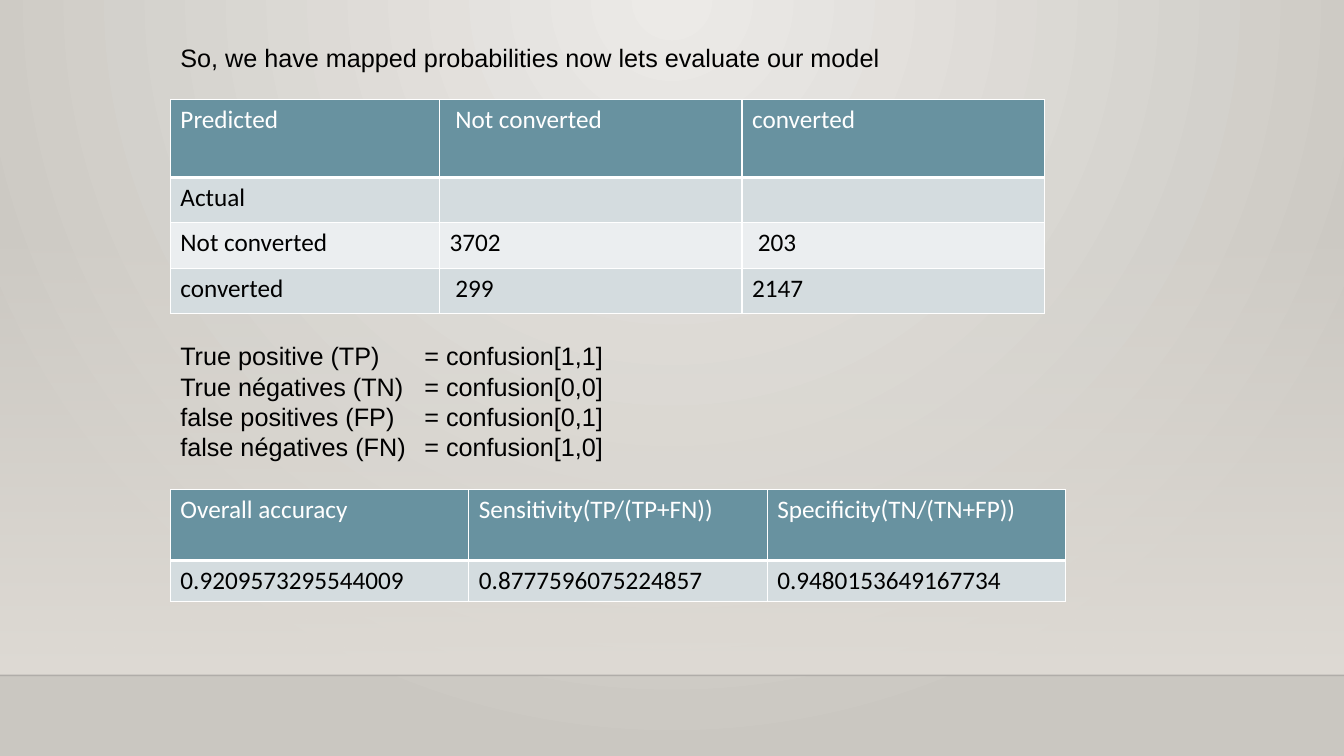
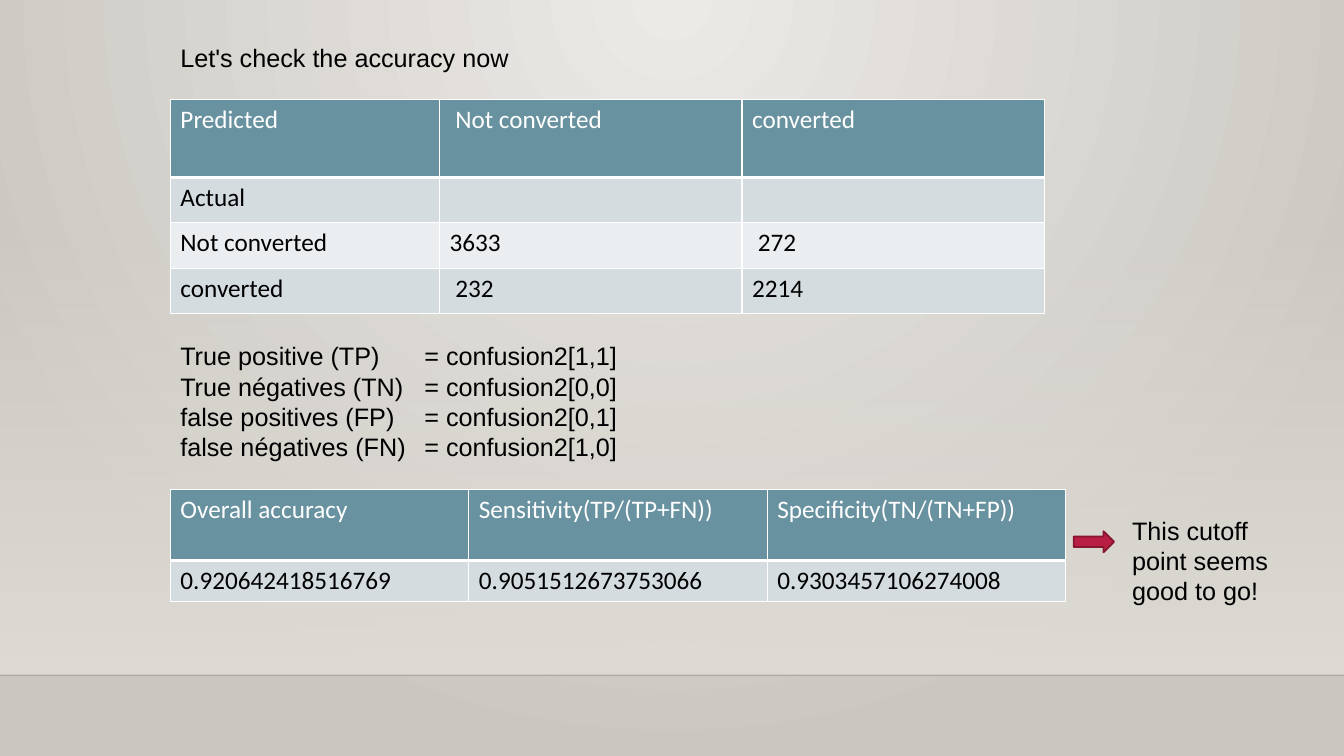
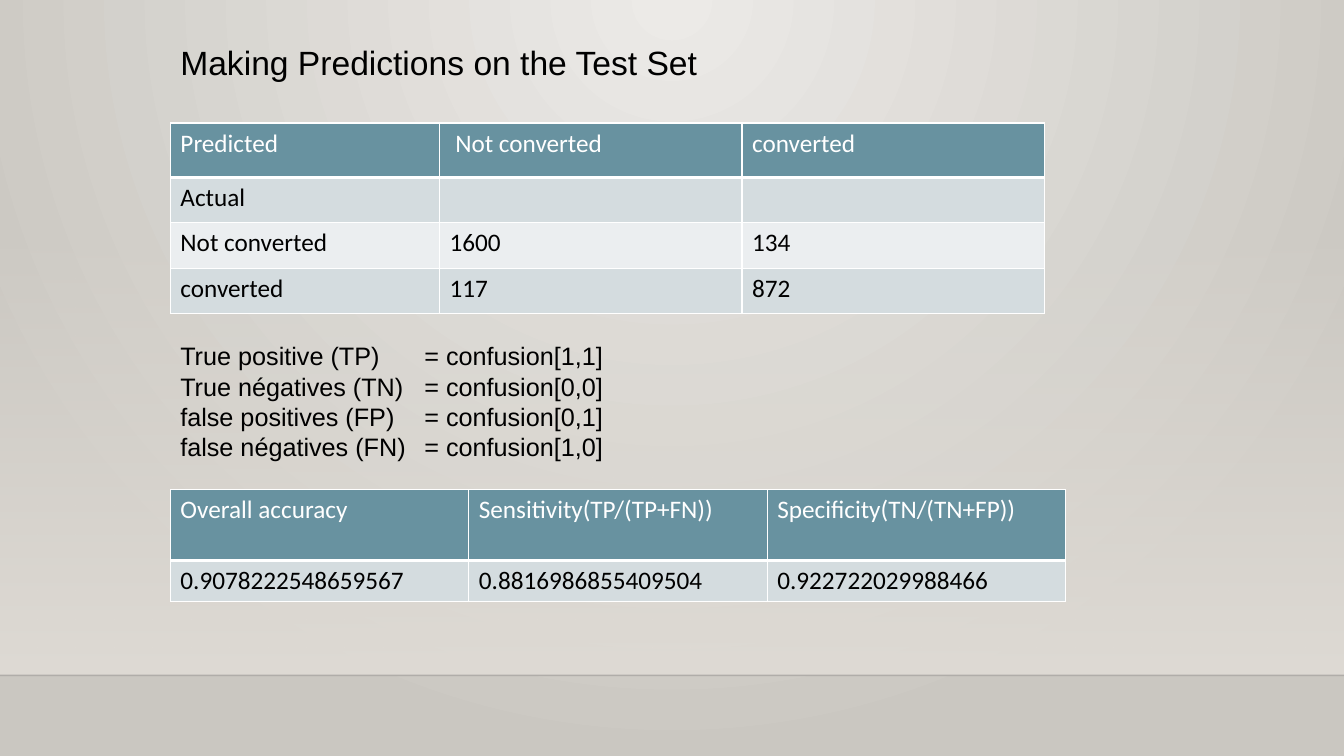
import pptx
import pptx.util
import pptx.dml.color
import pptx.enum.shapes
import pptx.oxml
import pptx.oxml.ns
from dataclasses import dataclass
from lxml import etree
from pptx.util import Inches, Pt

# Content
CLASSES = ("Not converted", "converted")
SCORE_NAMES = ("Overall\u00a0accuracy", "Sensitivity(TP/(TP+FN))", "Specificity(TN/(TN+FP))")
COUNT_NAMES = (
    ("True positive (TP)", "[1,1]"),
    ("True négatives (TN)", "[0,0]"),
    ("false positives (FP)", "[0,1]"),
    ("false négatives (FN)", "[1,0]"),
)
PAGES = [
    dict(
        title="So, we have mapped probabilities now lets evaluate our model",
        title_size=18, matrix_top=0.99, matrix_name="confusion",
        counts=(("3702", "\u00a0203"), ("\u00a0299", "2147")),
        scores=("0.9209573295544009", "0.8777596075224857", "0.9480153649167734"),
    ),
    dict(
        title="Let's check the accuracy now",
        title_size=18, matrix_top=0.99, matrix_name="confusion2",
        counts=(("3633", "\u00a0272"), ("\u00a0232", "2214")),
        scores=("0.920642418516769", "0.9051512673753066", "0.9303457106274008"),
        verdict="This cutoff point seems good to go!",
    ),
    dict(
        title="Making Predictions on the Test Set",
        title_size=24, matrix_top=1.22, matrix_name="confusion",
        counts=(("1600", "134"), ("117", "872")),
        scores=("0.9078222548659567", "0.8816986855409504", "0.922722029988466"),
    ),
]


# Theme
@dataclass(frozen=True)
class Theme:
    text: str = "000000"
    header_text: str = "FFFFFF"
    border: str = "FFFFFF"
    header: str = "6892A0"
    stripes: tuple = ("D4DCDF", "EBEEF0")
    backdrop: tuple = ("ECEAE7", "CAC7C1")
    wall: str = "DFDBD5"
    floor_line: str = "000001"
    arrow: str = "B71E42"
    arrow_line: str = "871631"
    body_font: str = "Arial"
    table_font: str = "Calibri"
    size: int = 18
    thin: int = 1
    thick: int = 3


THEME = Theme()
WIDTH, HEIGHT, LEFT = 13.33, 7.5, 1.69
FLOOR = 6.7
MATRIX_BOTTOM, MATRIX_ROW = 3.11, 0.45


def rgb(value):
    return pptx.dml.color.RGBColor.from_string(value)


def add_child(parent, tag, **attributes):
    return etree.SubElement(parent, pptx.oxml.ns.qn(tag), attributes)


def set_gradient(fill, colours):
    fill.gradient()
    for stop, colour in zip(fill.gradient_stops, colours):
        stop.color.rgb = rgb(colour)


def set_font(para, name, size, colour):
    para.font.name = name
    para.font.size = Pt(size)
    para.font.color.rgb = rgb(colour)
    para.font.bold = False


# Shared backdrop, kept on the master
def build_master(deck, page):
    master = deck.slide_master
    set_gradient(master.background.fill, THEME.backdrop)
    linear = master.element.xpath(".//p:bg//a:lin")[0]
    gradient = linear.getparent()
    gradient.remove(linear)
    circle = add_child(gradient, "a:path", path="circle")
    add_child(circle, "a:fillToRect", l="43000", t="0", r="43000", b="100000")

    wall = page.shapes.add_shape(
        pptx.enum.shapes.MSO_SHAPE.RECTANGLE,
        Inches(0), Inches(2.21), Inches(WIDTH), Inches(FLOOR - 2.21))
    wall.shadow.inherit = False
    wall.line.fill.background()
    set_gradient(wall.fill, (THEME.wall, THEME.wall))
    wall.fill.gradient_angle = 270
    add_child(wall.element.xpath(".//a:gs/a:srgbClr")[0], "a:alpha", val="0")

    floor = page.shapes.add_connector(
        pptx.enum.shapes.MSO_CONNECTOR.STRAIGHT,
        Inches(0), Inches(FLOOR), Inches(WIDTH), Inches(FLOOR))
    floor.line.color.rgb = rgb(THEME.floor_line)
    floor.line.width = Pt(1)
    add_child(floor.element.xpath(".//a:ln//a:srgbClr")[0], "a:alpha", val="20000")
    add_child(floor.element.spPr, "a:effectLst")

    for number, shape in enumerate((wall, floor), start=101):
        shape.element.xpath(".//p:cNvPr")[0].set("id", str(number))
        master.shapes.element.append(shape.element)


def add_text(page, lines, left, top, width, height, size=THEME.size, tab=None):
    box = page.shapes.add_textbox(Inches(left), Inches(top), Inches(width), Inches(height))
    box.text_frame.word_wrap = True
    box.text_frame.text = "\n".join(lines)
    for para in box.text_frame.paragraphs:
        set_font(para, THEME.body_font, size, THEME.text)
        if tab:
            properties = para._p.get_or_add_pPr()
            stops = pptx.oxml.parse_xml(
                f'<a:tabLst {pptx.oxml.ns.nsdecls("a")}>'
                f'<a:tab pos="{Inches(tab)}" algn="l"/></a:tabLst>')
            properties.insert(0, stops)


def set_borders(cell, row):
    properties = cell._tc.get_or_add_tcPr()
    top = THEME.thick if row == 1 else THEME.thin
    bottom = THEME.thick if row == 0 else THEME.thin
    sides = (("a:lnL", THEME.thin), ("a:lnR", THEME.thin), ("a:lnT", top), ("a:lnB", bottom))
    for place, (tag, width) in enumerate(sides):
        line = add_child(properties, tag, w=str(Pt(width)))
        add_child(add_child(line, "a:solidFill"), "a:srgbClr", val=THEME.border)
        properties.insert(place, line)


def add_grid(page, rows, top, widths, heights):
    frame = page.shapes.add_table(
        len(rows), len(widths), Inches(LEFT), Inches(top),
        Inches(sum(widths)), Inches(sum(heights)))
    table = frame.table
    for column, width in zip(table.columns, widths):
        column.width = Inches(width)
    for number, (values, height) in enumerate(zip(rows, heights)):
        table.rows[number].height = Inches(height)
        fill = THEME.stripes[(number - 1) % 2] if number else THEME.header
        colour = THEME.text if number else THEME.header_text
        for cell, value in zip(table.rows[number].cells, values):
            cell.text = value
            cell.fill.solid()
            cell.fill.fore_color.rgb = rgb(fill)
            set_font(cell.text_frame.paragraphs[0], THEME.table_font, THEME.size, colour)
            set_borders(cell, number)


def add_verdict(page, verdict):
    add_text(page, [verdict], 11.13, 5.06, 1.75, 1.01)
    arrow = page.shapes.add_shape(
        pptx.enum.shapes.MSO_SHAPE.RIGHT_ARROW,
        Inches(10.65), Inches(5.27), Inches(0.4), Inches(0.21))
    arrow.shadow.inherit = False
    arrow.fill.solid()
    arrow.fill.fore_color.rgb = rgb(THEME.arrow)
    arrow.line.color.rgb = rgb(THEME.arrow_line)
    arrow.line.width = Pt(1.25)


def build_page(page, content):
    add_text(page, [content["title"]], LEFT, 0.37, 9.26,
             content["title_size"] / 48 + 0.02, content["title_size"])

    # Confusion matrix
    matrix = [("Predicted", "\u00a0" + CLASSES[0], CLASSES[1]), ("Actual", "", "")]
    matrix += [(name, *counts) for name, counts in zip(CLASSES, content["counts"])]
    top = content["matrix_top"]
    header = MATRIX_BOTTOM - 3 * MATRIX_ROW - top
    add_grid(page, matrix, top, (2.67, 3, 3), (header, *[MATRIX_ROW] * 3))

    # Scores
    add_grid(page, [SCORE_NAMES, content["scores"]], 4.86, [2.96] * 3, (0.7, 0.41))

    # Where each count is found
    lines = [f"{name}\t= {content['matrix_name']}{place}" for name, place in COUNT_NAMES]
    add_text(page, lines, LEFT, 3.33, 6.67, 1.31, tab=2.42)

    if "verdict" in content:
        add_verdict(page, content["verdict"])


# Build
deck = pptx.Presentation()
deck.slide_width, deck.slide_height = Inches(WIDTH), Inches(HEIGHT)
blank = deck.slide_layouts[6]
for number, content in enumerate(PAGES):
    page = deck.slides.add_slide(blank)
    if number == 0:
        build_master(deck, page)
    build_page(page, content)
deck.save("out.pptx")
